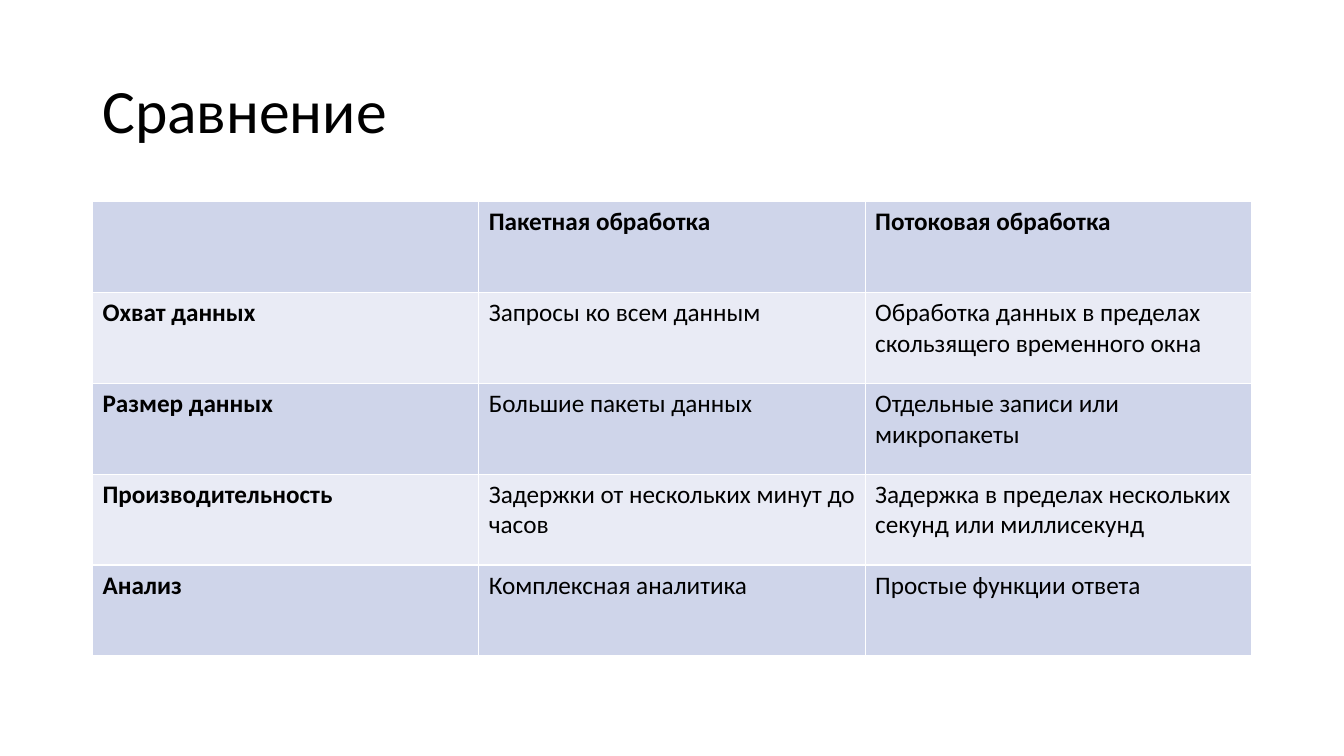
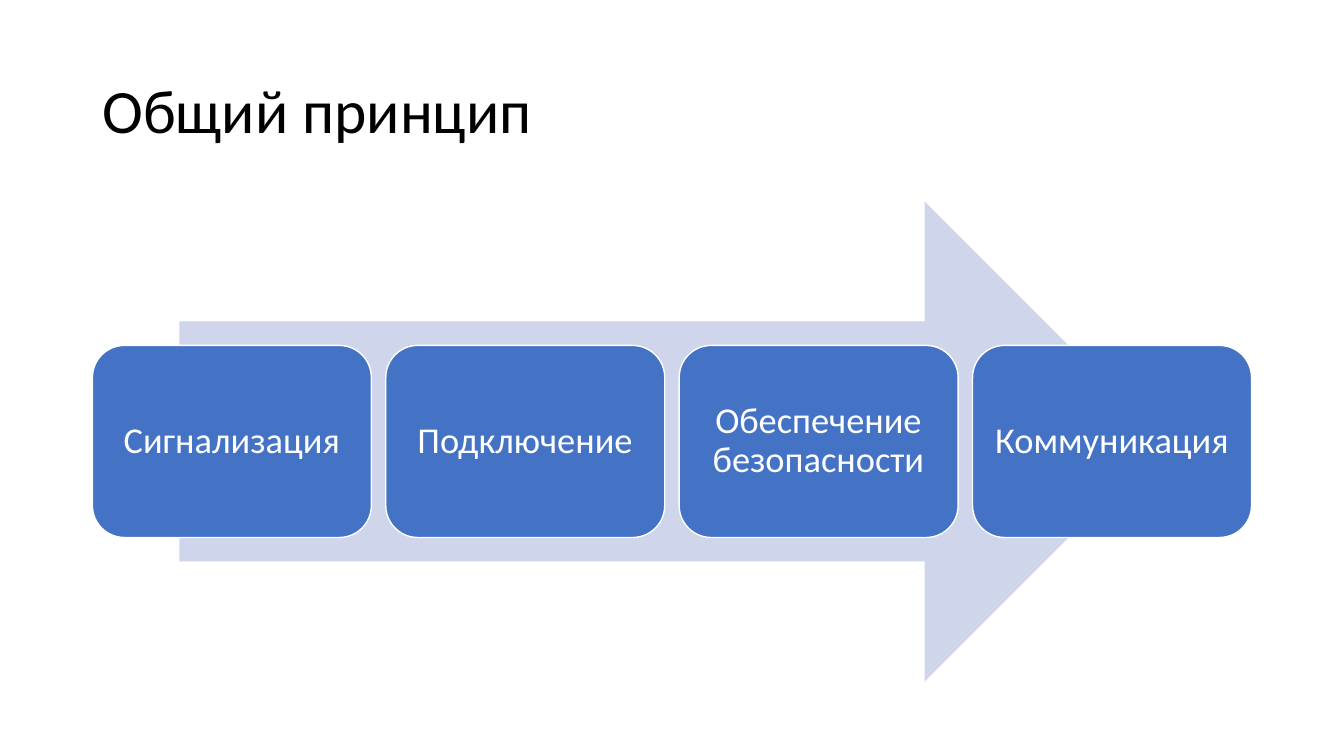
"""Build two slides: a table comparing batch and stream processing, and a four-step process."""
from lxml import etree
from pptx import Presentation
from pptx.dml.color import RGBColor
from pptx.enum.shapes import MSO_SHAPE
from pptx.enum.text import MSO_ANCHOR, PP_ALIGN
from pptx.oxml import parse_xml
from pptx.util import Cm, Pt

ARROW, ROUNDED = MSO_SHAPE.RIGHT_ARROW, MSO_SHAPE.ROUNDED_RECTANGLE
MIDDLE, CENTER = MSO_ANCHOR.MIDDLE, PP_ALIGN.CENTER
FONT = "Calibri"
BLACK, WHITE, BLUE, PALE, PALER = "000000", "FFFFFF", "4472C4", "CFD5EA", "E9EBF5"
A_NS = "http://schemas.openxmlformats.org/drawingml/2006/main"
LEFT, WIDTH, BODY_TOP = 2.33, 29.21, 5.08


def rgb(color):
    return RGBColor.from_string(color)


def style(p, size, color, bold=False):
    p.font.name = FONT
    p.font.size = Pt(size)
    p.font.bold = bold
    p.font.color.rgb = rgb(color)


prs = Presentation()
prs.slide_width, prs.slide_height = Cm(33.87), Cm(19.05)

slides = []
for title in ("Сравнение", "Общий принцип"):
    s = prs.slides.add_slide(prs.slide_layouts[6])
    tf = s.shapes.add_textbox(Cm(LEFT), Cm(1.01), Cm(WIDTH), Cm(3.68)).text_frame
    tf.word_wrap = True
    tf.vertical_anchor = MIDDLE
    p = tf.paragraphs[0]
    p.text = title
    p.line_spacing = 0.9
    style(p, 44, BLACK)
    slides.append(s)
comparison, principle = slides

rows = [
    ("", "Пакетная обработка", "Потоковая обработка"),
    ("Охват данных", "Запросы ко всем данным",
     "Обработка данных в пределах скользящего временного окна"),
    ("Размер данных", "Большие пакеты данных", "Отдельные записи или микропакеты"),
    ("Производительность", "Задержки от нескольких минут до часов",
     "Задержка в пределах нескольких секунд или миллисекунд"),
    ("Анализ", "Комплексная аналитика", "Простые функции ответа"),
]
table = comparison.shapes.add_table(
    len(rows), len(rows[0]), Cm(LEFT), Cm(BODY_TOP), Cm(WIDTH), Cm(2.29 * len(rows))).table
table.first_row = table.horz_banding = False
for i, row in enumerate(rows):
    for j, text in enumerate(row):
        cell = table.cell(i, j)
        p = cell.text_frame.paragraphs[0]
        p.text = text
        style(p, 18, BLACK, bold=i == 0 or j == 0)
        tcPr = cell._tc.get_or_add_tcPr()
        for side in ("lnL", "lnR", "lnT", "lnB"):
            tcPr.append(parse_xml(
                f'<a:{side} xmlns:a="{A_NS}" w="{Pt(1)}"><a:solidFill>'
                f'<a:srgbClr val="{WHITE}"/></a:solidFill></a:{side}>'))
        cell.fill.solid()
        cell.fill.fore_color.rgb = rgb(PALER if i % 2 else PALE)

arrow_w, arrow_h = 24.83, 12.09
arrow = principle.shapes.add_shape(
    ARROW, Cm(LEFT + (WIDTH - arrow_w) / 2), Cm(BODY_TOP), Cm(arrow_w), Cm(arrow_h))
arrow.shadow.inherit = False
arrow.fill.solid()
arrow.fill.fore_color.rgb = rgb(PALE)
arrow.line.fill.background()

steps = ["Сигнализация", "Подключение", "Обеспечение безопасности", "Коммуникация"]
step_w, step_h = 7.03, 4.84
pitch = (WIDTH - step_w) / (len(steps) - 1)
step_top = BODY_TOP + (arrow_h - step_h) / 2
for i, text in enumerate(steps):
    sp = principle.shapes.add_shape(
        ROUNDED, Cm(LEFT + i * pitch), Cm(step_top), Cm(step_w), Cm(step_h))
    sp.shadow.inherit = False
    sp.fill.solid()
    sp.fill.fore_color.rgb = rgb(BLUE)
    sp.line.color.rgb = rgb(WHITE)
    sp.line.width = Pt(1)
    tf = sp.text_frame
    tf.word_wrap = True
    tf.vertical_anchor = MIDDLE
    tf.margin_left = tf.margin_right = tf.margin_top = tf.margin_bottom = Cm(0.27)
    p = tf.paragraphs[0]
    p.text = text
    p.alignment = CENTER
    p.line_spacing = 0.9
    style(p, 26, WHITE)

prs.save("out.pptx")
